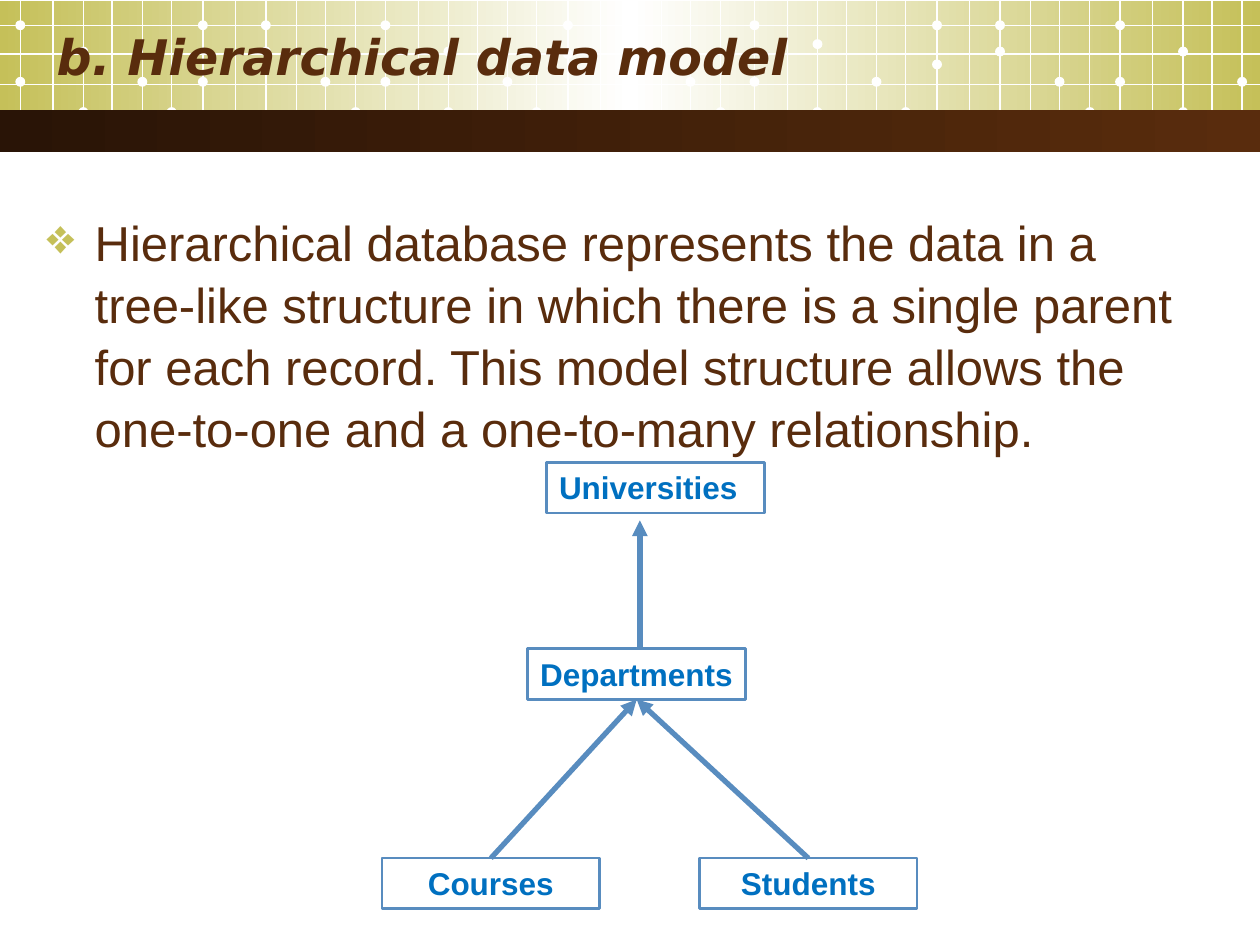
import pptx
import pptx.util
import pptx.dml.color
import pptx.enum.shapes
import pptx.enum.text
import pptx.oxml
from pptx.oxml.ns import qn

Cm, Pt = pptx.util.Cm, pptx.util.Pt
RGB = pptx.dml.color.RGBColor
Shape = pptx.enum.shapes.MSO_SHAPE
Line = pptx.enum.shapes.MSO_CONNECTOR
Align = pptx.enum.text.PP_ALIGN
Anchor = pptx.enum.text.MSO_ANCHOR

WHITE = RGB(0xFF, 0xFF, 0xFF)
OLIVE = RGB(0xC5, 0xC0, 0x59)
DARK = RGB(0x29, 0x14, 0x06)
BROWN = RGB(0x59, 0x2C, 0x0D)
STEEL = RGB(0x58, 0x8C, 0xBF)
BLUE = RGB(0x00, 0x70, 0xC0)

# Content; all lengths are in centimetres
TITLE = "b. Hierarchical data model"
BODY = ("Hierarchical database represents the data in a tree-like structure "
        "in which there is a single parent for each record. This model "
        "structure allows the one-to-one and a one-to-many relationship.")
NODES = {  # name: (left, top, alignment)
    "Universities": (11.02, 9.32, Align.LEFT),
    "Departments": (10.64, 13.08, Align.LEFT),
    "Students": (14.1, 17.3, Align.CENTER),
    "Courses": (7.7, 17.3, Align.CENTER),
}
NODE_W, NODE_H = 4.39, 1.02
LINKS = [("Departments", "Courses"), ("Departments", "Students")]

# Header grid: four panels that repeat the same columns and dots
WIDE = 25.4
PANELS = [0.41, 7.77, 15.21, 22.58]
COLS = [0, 0.66, 1.27, 1.85, 2.46, 3.05, 3.68, 4.34, 4.95, 5.56, 6.15, 6.76]
ROWS = [0.51, 1.09, 1.7, 2.26]
DOTS = {0: (0.51, 1.65), 2: (1.04, 2.26), 4: (1.65,), 5: (2.26,),
        6: (0.51, 1.09), 8: (0.51, 1.04), 10: (1.65,), 11: (2.26,)}
ODD = {(0, 6): (0.51, 1.65), (2, 2): (0.89, 2.26), (2, 6): (0.51, 1.3)}
DOT = 0.2

deck = pptx.Presentation()
deck.slide_width, deck.slide_height = Cm(WIDE), Cm(19.05)
slide = deck.slides.add_slide(deck.slide_layouts[5])
shapes = slide.shapes


def write(frame, text, size=18, color=BLUE, font="Arial", bold=False,
          italic=False, align=Align.LEFT, anchor=Anchor.TOP):
    frame.word_wrap = True
    frame.auto_size = pptx.enum.text.MSO_AUTO_SIZE.NONE
    frame.vertical_anchor = anchor
    para = frame.paragraphs[0]
    para.alignment = align
    run = para.add_run()
    run.text = text
    face = run.font
    face.name, face.size, face.color.rgb = font, Pt(size), color
    face.bold, face.italic = bold, italic
    return para


def block(kind, left, top, width, height, fill=None):
    shape = shapes.add_shape(kind, Cm(left), Cm(top), Cm(width), Cm(height))
    shape.shadow.inherit = False
    shape.line.fill.background()
    if fill is None:
        shape.fill.background()
    else:
        shape.fill.solid()
        shape.fill.fore_color.rgb = fill
    return shape


def blend(shape, colors):
    """Fill from left to right with evenly spaced colours."""
    shape.fill.gradient()
    shape.fill.gradient_angle = 0
    stops = shape._element.spPr.find(qn("a:gradFill")).find(qn("a:gsLst"))
    for stop in list(stops):
        stops.remove(stop)
    for i, color in enumerate(colors):
        stop = pptx.oxml.parse_xml(
            '<a:gs xmlns:a="http://schemas.openxmlformats.org/drawingml/2006/main"'
            f' pos="{100000 * i // (len(colors) - 1)}">'
            f'<a:srgbClr val="{color}"/></a:gs>')
        stops.append(stop)


def link(x1, y1, x2, y2, color, width, arrow=False):
    """Draw a line; an arrow points at its first end."""
    line = shapes.add_connector(Line.STRAIGHT, Cm(x1), Cm(y1), Cm(x2), Cm(y2))
    line.line.color.rgb, line.line.width = color, Pt(width)
    props = line._element.spPr
    if arrow:
        head = props.find(qn("a:ln")).makeelement(
            qn("a:headEnd"), {"type": "triangle"})
        props.find(qn("a:ln")).append(head)
    props.append(props.makeelement(qn("a:effectLst"), {}))
    return line


# Header
blend(block(Shape.RECTANGLE, 0, 0.02, WIDE, 2.6), [OLIVE, WHITE, OLIVE])
for p, start in enumerate(PANELS):
    for c, step in enumerate(COLS):
        x = start + step
        if x > WIDE:
            break
        link(x, 0, x, 2.79, WHITE, 0.75)
        for y in ODD.get((p, c), DOTS.get(c, ())):
            block(Shape.OVAL, x - DOT / 2, y - DOT / 2, DOT, DOT, WHITE)
for y in ROWS:
    link(0, y, WIDE, y, WHITE, 0.75)
blend(block(Shape.RECTANGLE, 0, 2.22, WIDE, 0.84), [DARK, BROWN])

title = shapes.title
title.left, title.top = Cm(0.89), Cm(0.13)
title.width, title.height = Cm(23.22), Cm(2.01)
write(title.text_frame, TITLE, size=28, color=BROWN, font="DejaVu Sans",
      bold=True, italic=True, anchor=Anchor.MIDDLE)
shapes._spTree.append(title._element)  # bring in front of the header

# Body
body = shapes.add_textbox(Cm(0.69), Cm(4.01), Cm(23.85), Cm(14.5))
body.text_frame.margin_top = Cm(0.22)
para = write(body.text_frame, BODY, size=28, color=BROWN)
para.line_spacing = 1.05
form = para._p.get_or_add_pPr()
form.set("marL", str(Cm(0.97)))
form.set("indent", str(-Cm(0.97)))
tint = form.makeelement(qn("a:buClr"), {})
tint.append(tint.makeelement(qn("a:srgbClr"), {"val": str(OLIVE)}))
form.append(tint)
form.append(form.makeelement(qn("a:buChar"), {"char": "❖"}))

# Tree
link(12.9, 10.49, 12.9, 13.08, STEEL, 3, arrow=True)
boxes = {}
for name, (left, top, align) in NODES.items():
    box = block(Shape.RECTANGLE, left, top, NODE_W, NODE_H)
    box.line.color.rgb, box.line.width = STEEL, Pt(1.5)
    write(box.text_frame, name, bold=True, align=align, anchor=Anchor.TOP)
    boxes[name] = box
for upper, lower in LINKS:
    line = link(0, 0, 1, 1, STEEL, 3, arrow=True)
    line.begin_connect(boxes[upper], 2)
    line.end_connect(boxes[lower], 0)

deck.save("out.pptx")
